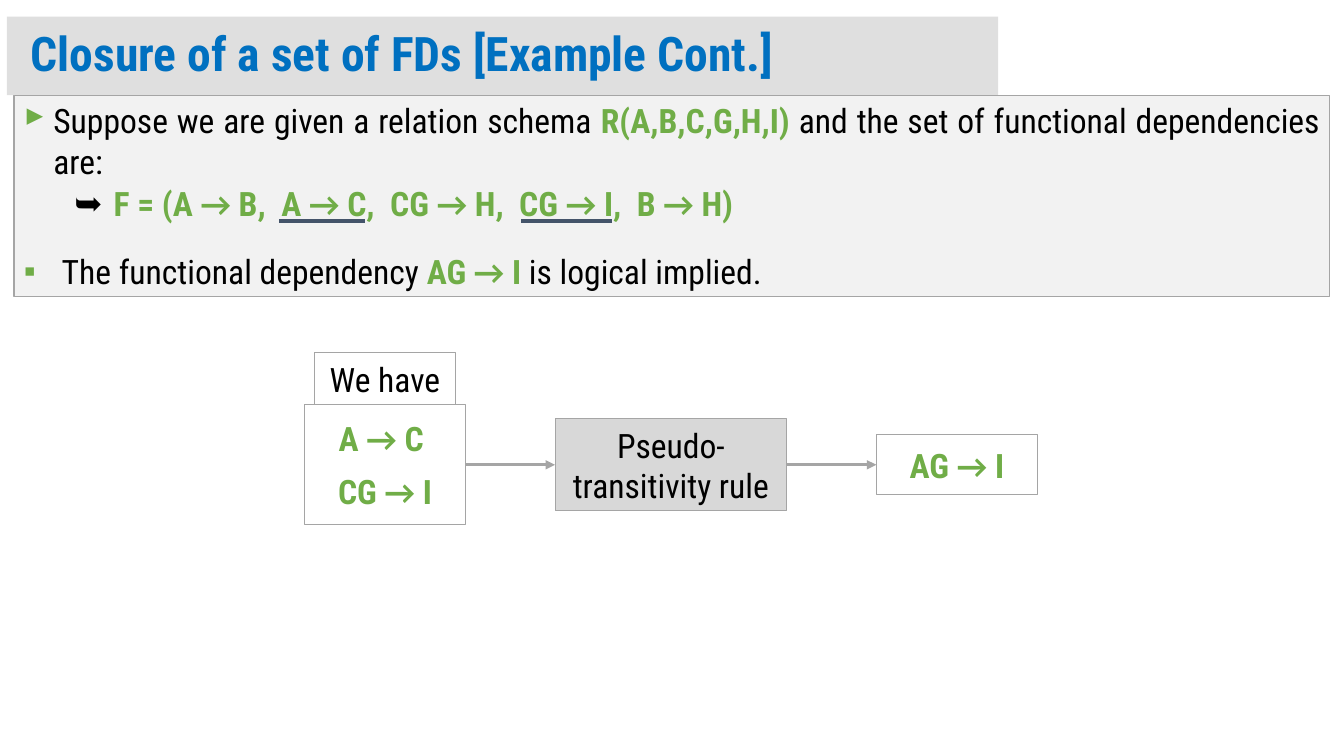
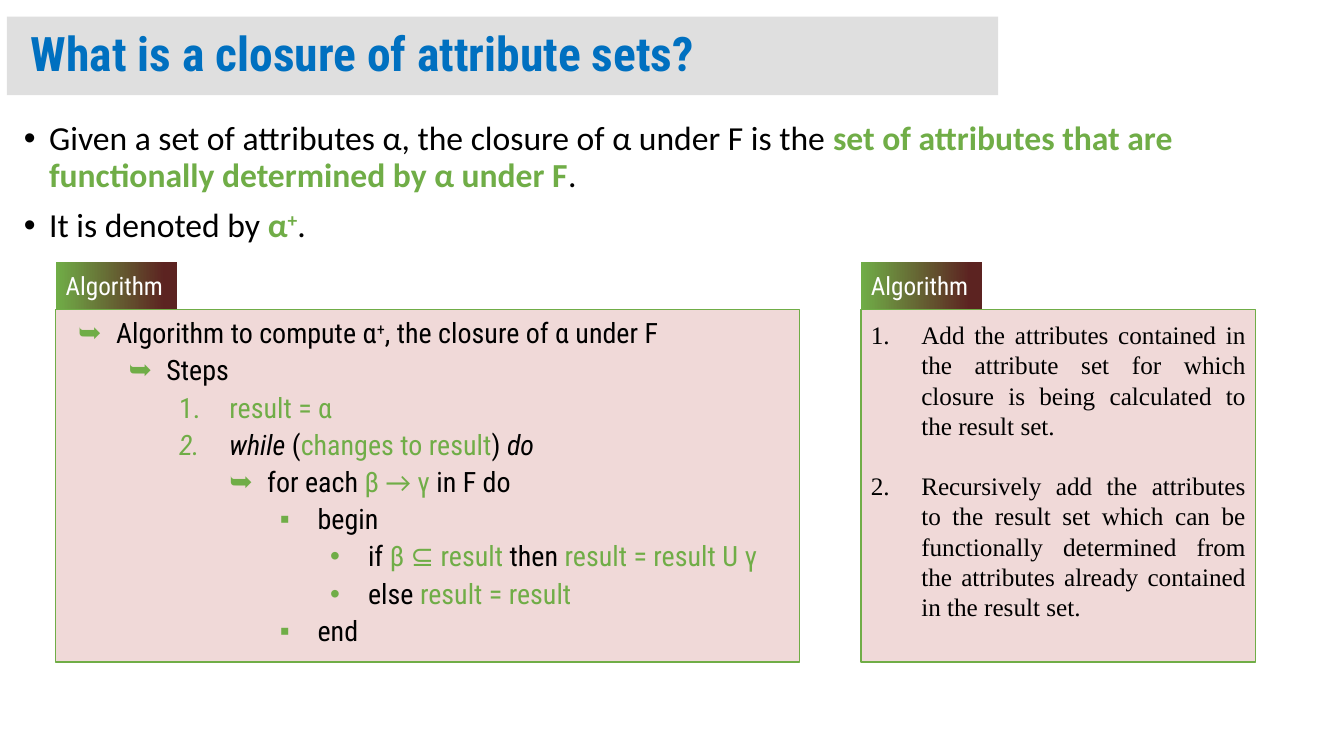
import dataclasses
import itertools

import lxml.etree
import pptx
import pptx.dml.color
import pptx.enum.shapes
import pptx.enum.text
import pptx.oxml.ns
import pptx.util

Pt = pptx.util.Pt
RGB = pptx.dml.color.RGBColor.from_string
qn = pptx.oxml.ns.qn
ALIGN = pptx.enum.text.PP_ALIGN
ANCHOR = pptx.enum.text.MSO_ANCHOR
STRAIGHT = pptx.enum.shapes.MSO_CONNECTOR.STRAIGHT


@dataclasses.dataclass(frozen=True)
class Theme:
    face: str = "Roboto Condensed"
    plain_face: str = "Calibri"
    serif_face: str = "Times New Roman"
    bullet_face: str = "Arial"
    symbol_face: str = "Wingdings 3"
    ink: str = "000000"
    white: str = "FFFFFF"
    title: str = "0070C0"
    band: str = "C0C0C0"
    green: str = "70AD47"
    border: str = "A5A5A5"
    panel: str = "F2F2F2"
    rule: str = "D8D8D8"
    pink: str = "F0D9D8"
    maroon: str = "5C2321"
    underline: str = "44546A"
    title_size: int = 34
    body_size: int = 24
    code_size: int = 20
    small_size: int = 18


theme = Theme()
TRIANGLE, HOOK, SQUARE, DOT, NUMBER = "}", "➥", "▪", "•", "1."


def add_box(slide, left, top, width, height, fill=None, line=None, line_width=0.75,
            inset=(7.2, 3.6), anchor=ANCHOR.MIDDLE):
    box = slide.shapes.add_shape(pptx.enum.shapes.MSO_SHAPE.RECTANGLE,
                                 Pt(left), Pt(top), Pt(width), Pt(height))
    box.shadow.inherit = False
    if fill:
        box.fill.solid()
        box.fill.fore_color.rgb = RGB(fill)
    else:
        box.fill.background()
    if line:
        box.line.color.rgb = RGB(line)
        box.line.width = Pt(line_width)
    else:
        box.line.fill.background()
    frame = box.text_frame
    frame.word_wrap = True
    frame.vertical_anchor = anchor
    frame.margin_left = frame.margin_right = Pt(inset[0])
    frame.margin_top = frame.margin_bottom = Pt(inset[1])
    return box


def add_text(box, runs, size=theme.body_size, color=theme.ink, face=theme.face,
             align=ALIGN.LEFT, spacing=1.0, before=0, bullet=None,
             bullet_color=theme.green, margin=0, hang=0, level=0):
    frame = box.text_frame
    paragraph = frame.add_paragraph() if frame.paragraphs[0].runs else frame.paragraphs[0]
    if bullet:
        properties = paragraph._p.get_or_add_pPr()
        properties.set("marL", str(Pt(margin)))
        properties.set("indent", str(-Pt(hang)))
        bullet_fill = lxml.etree.SubElement(properties, qn("a:buClr"))
        lxml.etree.SubElement(bullet_fill, qn("a:srgbClr")).set("val", bullet_color)
        if bullet == NUMBER:
            lxml.etree.SubElement(properties, qn("a:buAutoNum")).set("type", "arabicPeriod")
        else:
            bullet_font = lxml.etree.SubElement(properties, qn("a:buFont"))
            bullet_font.set("typeface", theme.bullet_face)
            if bullet == TRIANGLE:
                bullet_font.set("typeface", theme.symbol_face)
                bullet_font.set("charset", "2")
            lxml.etree.SubElement(properties, qn("a:buChar")).set("char", bullet)
    paragraph.level = level
    paragraph.alignment = align
    paragraph.line_spacing = spacing
    paragraph.space_before = Pt(before)
    for text, marks in runs:
        for is_arrow, letters in itertools.groupby(text, lambda letter: letter == "→"):
            run = paragraph.add_run()
            run.text = "".join(letters)
            run.font.name = theme.plain_face if is_arrow else face
            run.font.size = Pt(size)
            run.font.bold = "b" in marks
            run.font.italic = "i" in marks
            run.font.color.rgb = RGB(theme.green if "g" in marks else color)
            if "+" in marks:
                run._r.get_or_add_rPr().set("baseline", "30000")


deck = pptx.Presentation()
deck.slide_width, deck.slide_height = Pt(960), Pt(540)

slides = []
for heading in ("Closure of a set of FDs [Example Cont.]", "What is a closure of attribute sets?"):
    slide = deck.slides.add_slide(deck.slide_layouts[6])
    band = add_box(slide, 5, 12, 708, 56, theme.band, inset=(17, 8.6))
    band_color = band._element.spPr.find(qn("a:solidFill"))[0]
    lxml.etree.SubElement(band_color, qn("a:alpha")).set("val", "50000")
    add_text(band, [(heading, "b")], theme.title_size, theme.title, spacing=0.9)
    slides.append(slide)
example, closure = slides

schema = add_box(example, 10, 68, 940, 144, theme.panel, theme.border, anchor=ANCHOR.TOP)
add_text(schema, [("Suppose we are given a relation schema ", ""), ("R(A,B,C,G,H,I)", "gb"),
                  (" and the set of functional dependencies are:", "")],
         align=ALIGN.JUSTIFY, bullet=TRIANGLE, margin=21, hang=21)
add_text(schema, [("F = (A → B,  A → C,  CG → H,  CG → I,  B → H)", "gb")],
         align=ALIGN.JUSTIFY, spacing=0.9, before=5, bullet=HOOK, bullet_color=theme.ink,
         margin=64, hang=28, level=1)
add_text(schema, [("The functional dependency ", ""), ("AG → I ", "gb"),
                  ("is logical implied.", "")],
         align=ALIGN.JUSTIFY, spacing=1.5, before=5, bullet=SQUARE, margin=27, hang=27, level=1)

for start, end in ((199.5, 260.5), (372.5, 437)):
    underline = example.shapes.add_connector(STRAIGHT, Pt(start), Pt(158), Pt(end), Pt(158))
    underline.line.color.rgb = RGB(theme.underline)
    underline.line.width = Pt(3)
    lxml.etree.SubElement(underline._element.spPr, qn("a:effectLst"))

we_have = add_box(example, 224.5, 252, 101, 37, line=theme.border)
add_text(we_have, [("We have", "")], align=ALIGN.CENTER)

step_left, step_middle, step_gap = 217.5, 332, 64
previous_step = None
for width, height, fill, marks, lines in (
        (115, 86, None, "gb", ("A → C ", "CG → I")),
        (165.5, 66, theme.rule, "", ("Pseudo-transitivity rule",)),
        (115, 43, None, "gb", ("AG → I",))):
    step = add_box(example, step_left, step_middle - height / 2, width, height,
                   fill, theme.border)
    for index, text in enumerate(lines):
        add_text(step, [(text, marks)], align=ALIGN.CENTER, before=9 * index)
    if previous_step:
        arrow = example.shapes.add_connector(STRAIGHT, 0, 0, 0, 0)
        arrow.begin_connect(previous_step, 3)
        arrow.end_connect(step, 1)
        arrow.line.color.rgb = RGB(theme.border)
        arrow.line.width = Pt(2.25)
        lxml.etree.SubElement(arrow.line._get_or_add_ln(), qn("a:tailEnd")).set("type", "triangle")
        lxml.etree.SubElement(arrow._element.spPr, qn("a:effectLst"))
    previous_step = step
    step_left += width + step_gap

definition = closure.shapes.add_textbox(Pt(10), Pt(83.5), Pt(940), Pt(100))
definition.text_frame.word_wrap = True
for before, runs in (
        (0, [("Given a set of attributes α, the closure of α under F is the ", ""),
             ("set of attributes that are functionally determined by α under F", "gb"),
             (".", "")]),
        (10, [("It is denoted by ", ""), ("α", "gb"), ("+", "gb+"), (".", "")])):
    add_text(definition, runs, face=theme.plain_face, spacing=0.9, before=before,
             bullet=DOT, bullet_color=theme.ink, margin=18, hang=18)

panels = []
for left, width in ((39.8, 531.4), (615, 282)):
    panels.append(add_box(closure, left, 221, width, 252, theme.pink, theme.green, 1,
                          inset=(7.2, 7.2), anchor=ANCHOR.TOP))
    label = add_box(closure, left, 187, 86.5, 34)
    label.fill.gradient()
    label.fill.gradient_angle = 180
    for stop, position, color in zip(label.fill.gradient_stops, (0.1, 1),
                                     (theme.maroon, theme.green)):
        stop.position = position
        stop.color.rgb = RGB(color)
    add_text(label, [("Algorithm", "")], theme.small_size, theme.white)
pseudocode, summary = panels

for index, (level, bullet, runs) in enumerate((
        (1, HOOK, [("Algorithm to compute α", ""), ("+", "+"), (", the closure of α under F", "")]),
        (2, HOOK, [("Steps", "")]),
        (3, NUMBER, [("result = α", "g")]),
        (3, NUMBER, [("while", "i"), (" (", ""), ("changes to result", "g"), (") ", ""),
                     ("do", "i")]),
        (4, HOOK, [("for each ", ""), ("β → γ", "g"), (" in F do", "")]),
        (5, SQUARE, [("begin", "")]),
        (6, DOT, [("if ", ""), ("β ⊆ result ", "g"), ("then ", ""),
                  ("result = result U γ", "g")]),
        (6, DOT, [("else ", ""), ("result = result", "g")]),
        (5, SQUARE, [("end", "")]))):
    number_room = 9 if bullet == NUMBER else 0
    add_text(pseudocode, runs, theme.code_size, align=ALIGN.JUSTIFY, spacing=0.9,
             before=5 if index else 0, bullet=bullet, margin=36 * level + number_room,
             hang=27 + number_room, level=level)

for before, text in (
        (0, "Add the attributes contained in the attribute set for which closure is being "
            "calculated to the result set."),
        (21.5, "Recursively add the attributes to the result set which can be functionally "
               "determined from the attributes already contained in the result set.")):
    add_text(summary, [(text, "")], theme.small_size, face=theme.serif_face,
             align=ALIGN.JUSTIFY, before=before, bullet=NUMBER, bullet_color=theme.ink,
             margin=36, hang=36)

deck.save("out.pptx")
